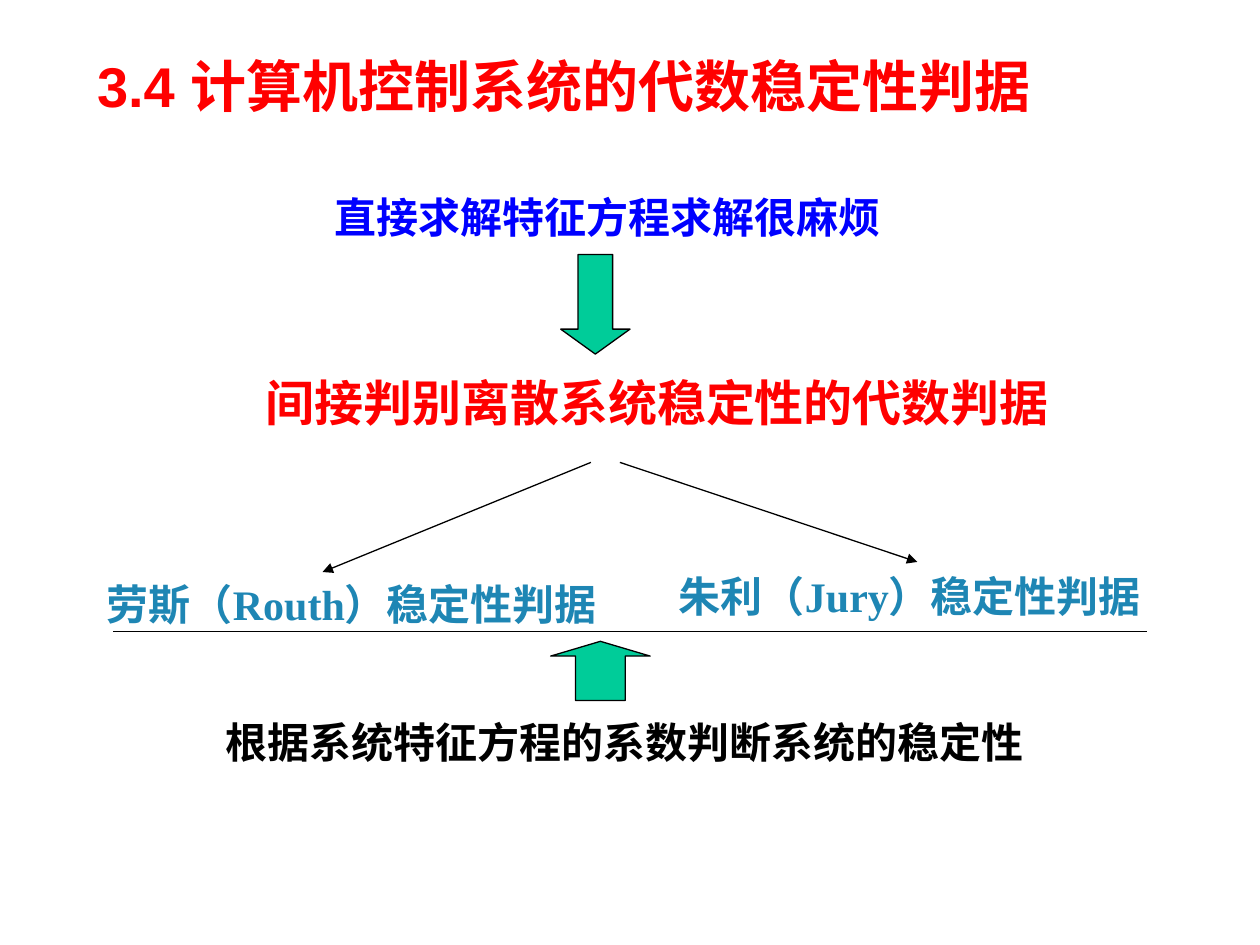
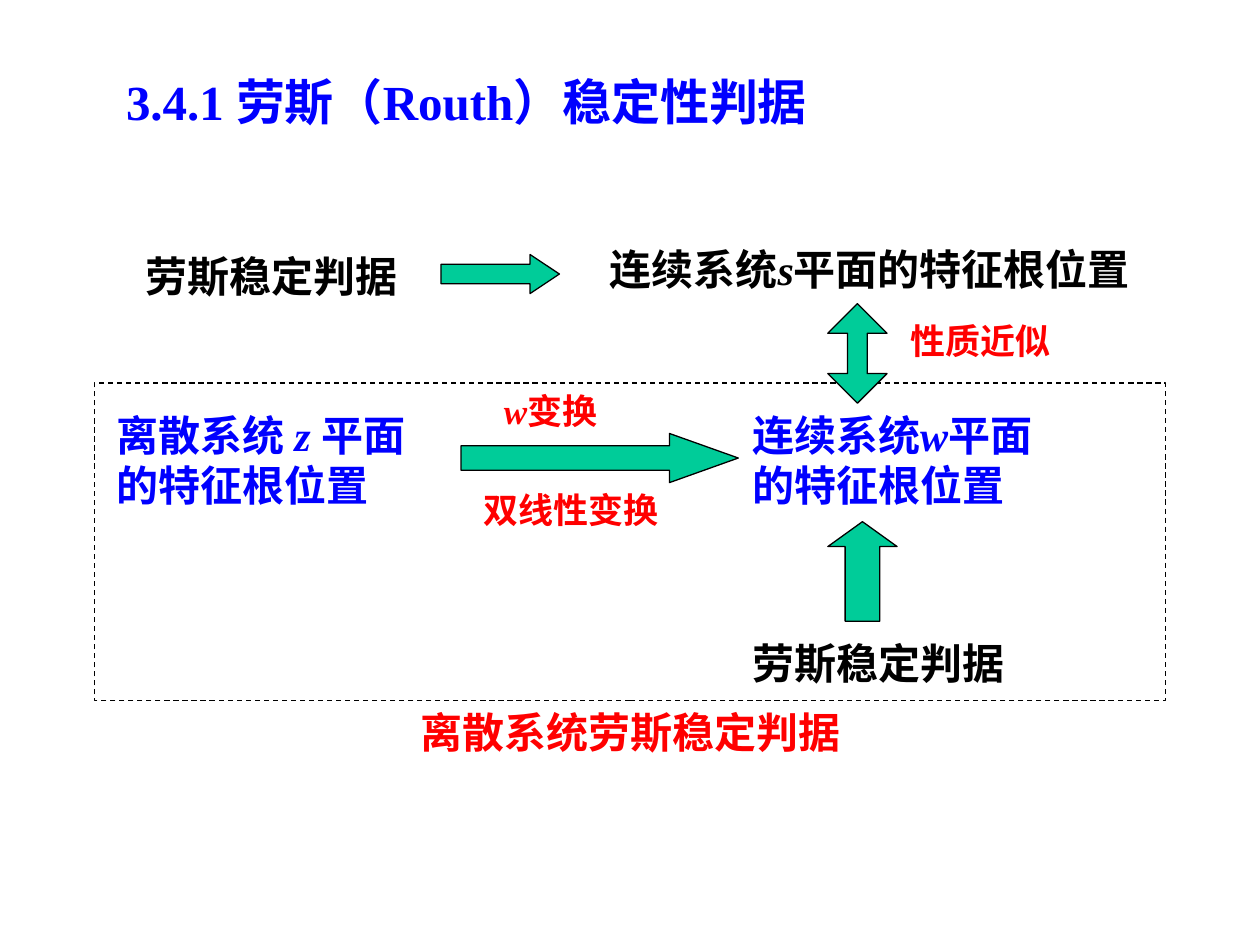
from lxml import etree
from pptx import Presentation
from pptx.dml.color import RGBColor
from pptx.enum.dml import MSO_LINE
from pptx.enum.shapes import MSO_CONNECTOR, MSO_SHAPE
from pptx.enum.text import MSO_ANCHOR, MSO_AUTO_SIZE, PP_ALIGN
from pptx.oxml.ns import qn
from pptx.util import Inches, Pt

DOWN, UP = MSO_SHAPE.DOWN_ARROW, MSO_SHAPE.UP_ARROW
RIGHT, UP_DOWN = MSO_SHAPE.RIGHT_ARROW, MSO_SHAPE.UP_DOWN_ARROW
RECTANGLE, STRAIGHT = MSO_SHAPE.RECTANGLE, MSO_CONNECTOR.STRAIGHT
DASH, TOP, LEFT = MSO_LINE.DASH, MSO_ANCHOR.TOP, PP_ALIGN.LEFT
NO_FIT = MSO_AUTO_SIZE.NONE

color = RGBColor.from_string
RED, BLUE, BLACK, TEAL, GREEN = "FF0000", "0000FF", "000000", "1E86B4", "00CC99"
SERIF, SANS = "Times New Roman", "Arial"
THIN = Pt(0.75)

prs = Presentation()
prs.slide_width, prs.slide_height = Inches(10), Inches(7.5)
TITLE_ONLY = prs.slide_layouts[5]
# Grid of 100 columns by 75 rows
COL, ROW = prs.slide_width / 100, prs.slide_height / 75


def write(sp, box, text, size, hue, font=SERIF):
    """Place sp on the grid and fill it; parts between asterisks are italic."""
    x, y, w, h = box
    sp.left, sp.top = int(x * COL), int(y * ROW)
    sp.width, sp.height = int(w * COL), int(h * ROW)
    tf = sp.text_frame
    tf.word_wrap, tf.auto_size, tf.vertical_anchor = True, NO_FIT, TOP
    p = tf.paragraphs[0]
    p.alignment = LEFT
    p.font.name, p.font.size, p.font.bold = font, Pt(size), True
    p.font.color.rgb = color(hue)
    for i, part in enumerate(text.split("*")):
        if part:
            r = p.add_run()
            r.text = part
            if i % 2:
                r.font.italic = True


def add_block(s, kind, x, y, w, h, adjustments=()):
    sp = s.shapes.add_shape(kind, int(x * COL), int(y * ROW), int(w * COL), int(h * ROW))
    sp.shadow.inherit = False
    for i, value in enumerate(adjustments):
        sp.adjustments[i] = value
    sp.fill.solid()
    sp.fill.fore_color.rgb = color(GREEN)
    sp.line.color.rgb = color(BLACK)
    sp.line.width = THIN
    return sp


# Slide 1: the two algebraic criteria
s = prs.slides.add_slide(TITLE_ONLY)
write(s.shapes.title, (6.7, 3.6, 90.6, 6.4), "3.4 计算机控制系统的代数稳定性判据", 32, RED, SANS)

for box, text, size, hue in [
    ((25.6, 14.7, 55.9, 5), "直接求解特征方程求解很麻烦", 24, BLUE),
    ((20.1, 29.1, 73.2, 5.7), "间接判别离散系统稳定性的代数判据", 28, RED),
    ((7.5, 45.4, 48, 5), "劳斯（Routh）稳定性判据", 24, TEAL),
    ((52.9, 44.8, 43.5, 5), "朱利（Jury）稳定性判据", 24, TEAL),
    ((16.9, 56.4, 74.8, 5), "根据系统特征方程的系数判断系统的稳定性", 24, BLACK),
]:
    write(s.shapes.add_textbox(0, 0, 0, 0), box, text, size, hue)

add_block(s, DOWN, 44.5, 20.2, 5.5, 7.9, (0.5, 0.36))
add_block(s, UP, 43.7, 50.9, 7.9, 4.7, (0.5, 0.25))

for x1, y1, x2, y2, has_head in [
    (46.9, 36.7, 25.6, 45.4, True),
    (49.2, 36.7, 72.8, 44.6, True),
    (9, 50.1, 91, 50.1, False),
]:
    line = s.shapes.add_connector(
        STRAIGHT, int(x1 * COL), int(y1 * ROW), int(x2 * COL), int(y2 * ROW))
    line.line.color.rgb = color(BLACK)
    line.line.width = THIN
    if has_head:
        etree.SubElement(line.line._get_or_add_ln(), qn("a:tailEnd"), type="triangle")
    etree.SubElement(line._element.spPr, qn("a:effectLst"))

# Slide 2: from the z plane to the w plane
s = prs.slides.add_slide(TITLE_ONLY)
write(s.shapes.title, (9, 5.2, 72.4, 5.7), "3.4.1 劳斯（Routh）稳定性判据", 28, BLUE)

for box, text, size, hue in [
    ((10.6, 19.4, 34.9, 5), "劳斯稳定判据", 24, BLACK),
    ((47.4, 18.8, 49, 5), "连续系统*s*平面的特征根位置", 24, BLACK),
    ((8.3, 32, 26, 9), "离散系统 *z *平面的特征根位置", 24, BLUE),
    ((58.7, 32, 25.2, 13), "连续系统*w*平面的特征根位置", 24, BLUE),
    ((39, 30.4, 15.7, 4.4), "*w*变换", 20, RED),
    ((37.4, 38.3, 20.7, 4.4), "双线性变换", 20, RED),
    ((71.3, 24.9, 19.7, 4.4), "性质近似", 20, RED),
    ((58.7, 50.1, 34.9, 5), "劳斯稳定判据", 24, BLACK),
    ((32.4, 55.6, 47.5, 5), "离散系统劳斯稳定判据", 24, RED),
]:
    write(s.shapes.add_textbox(0, 0, 0, 0), box, text, size, hue)

discrete_frame = add_block(s, RECTANGLE, 7.5, 30.4, 85, 25.2)
discrete_frame.fill.background()
discrete_frame.line.dash_style = DASH

add_block(s, RIGHT, 35, 20.2, 9.4, 3.1, (0.5, 0.75))
add_block(s, RIGHT, 36.6, 34.4, 22, 3.9, (0.5, 1.4))
add_block(s, UP, 65.7, 41.4, 5.5, 7.9, (0.5, 0.36))
add_block(s, UP_DOWN, 65.7, 24.1, 4.7, 7.9, (0.5, 0.33))

prs.save("out.pptx")
